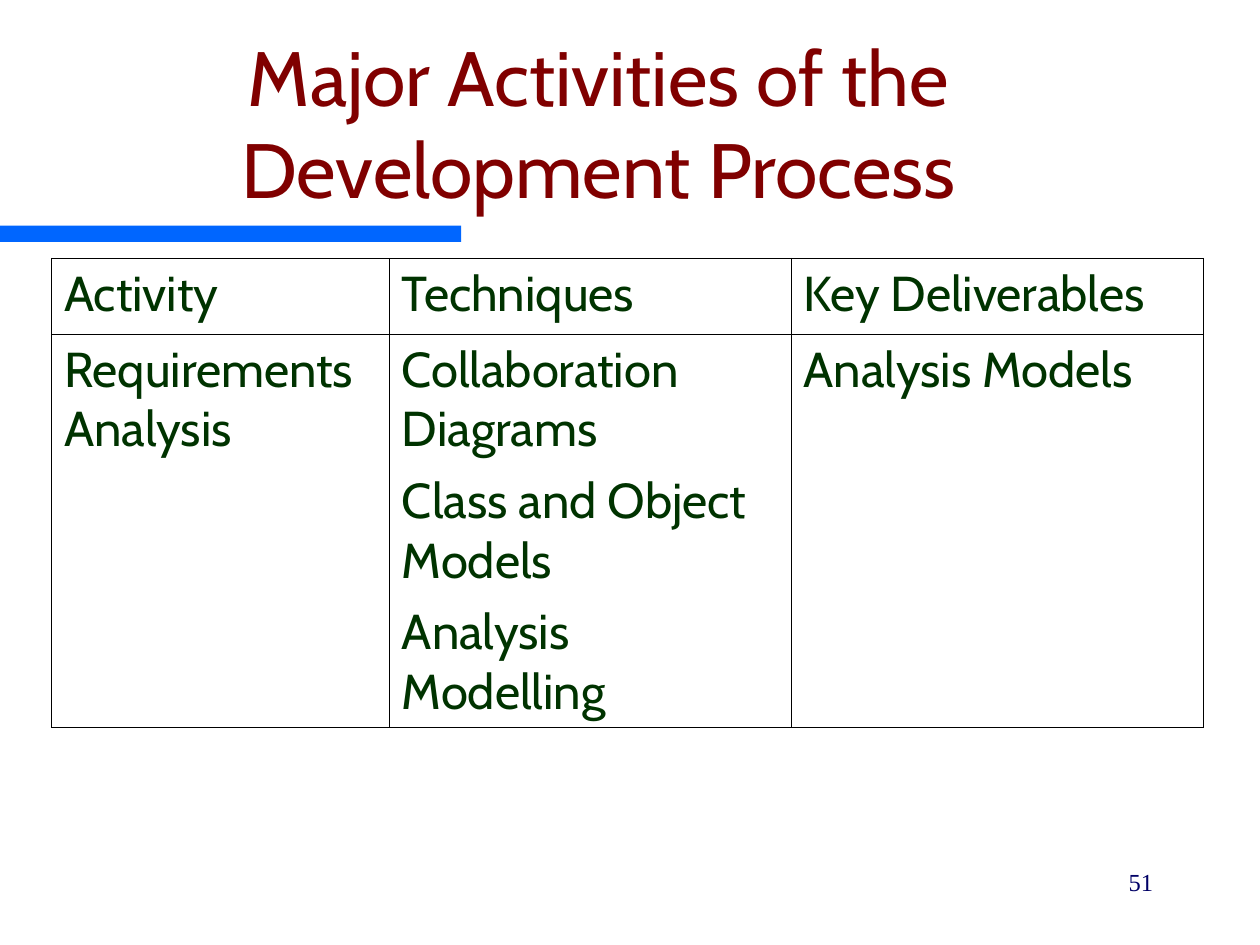
from lxml import etree
from pptx import Presentation
from pptx import util as u
from pptx.dml.color import RGBColor
from pptx.enum import shapes, text
from pptx.oxml.ns import qn

COLORS = {
    "title": "800000",
    "accent": "0066FF",
    "cell": "003300",
    "border": "000000",
    "number": "000066",
}
BODY_FONT = "Cabin"
NUMBER_FONT = "Times New Roman"
OUTER_LINE, INNER_LINE = 0.75, 0.45

COLUMN_WIDTHS = [2.68, 3.19, 3.27]
ROW_HEIGHTS = [0.6, 3.1]
ACTIVITY_ROWS = [
    ["Activity", "Techniques", "Key Deliverables"],
    [
        "Requirements Analysis",
        "Collaboration Diagrams\nClass and Object Models\nAnalysis Modelling",
        "Analysis Models",
    ],
]


def inches(box):
    return [u.Inches(value) for value in box]


def write_text(frame, content, *, size, color, font=BODY_FONT,
               align=text.PP_ALIGN.LEFT, before=0):
    """Fill a text frame, one paragraph for each line of content."""
    frame.word_wrap = True
    for index, line in enumerate(content.split("\n")):
        paragraph = frame.paragraphs[0] if index == 0 else frame.add_paragraph()
        paragraph.alignment = align
        paragraph.space_before = u.Pt(before)
        run = paragraph.add_run()
        run.text = line
        run.font.size = u.Pt(size)
        run.font.name = font
        run.font.color.rgb = RGBColor.from_string(COLORS[color])


def set_borders(cell, widths):
    """Draw the cell's edges; widths are points for left, right, top, bottom."""
    properties = cell._tc.get_or_add_tcPr()
    for index, (side, width) in enumerate(zip("LRTB", widths)):
        line = etree.Element(qn(f"a:ln{side}"), w=str(u.Pt(width)))
        fill = etree.SubElement(line, qn("a:solidFill"))
        etree.SubElement(fill, qn("a:srgbClr"), val=COLORS["border"])
        properties.insert(index, line)


def add_accent_bar(slide, box):
    bar = slide.shapes.add_shape(shapes.MSO_SHAPE.RECTANGLE, *inches(box))
    bar.shadow.inherit = False
    bar.fill.solid()
    bar.fill.fore_color.rgb = RGBColor.from_string(COLORS["accent"])
    bar.line.fill.background()


def add_title(slide, box, content):
    title = slide.shapes.title
    title.left, title.top, title.width, title.height = inches(box)
    frame = title.text_frame
    frame.auto_size = text.MSO_AUTO_SIZE.NONE
    frame.vertical_anchor = text.MSO_ANCHOR.BOTTOM
    write_text(frame, content, size=44, color="title",
               align=text.PP_ALIGN.CENTER)


def add_activity_table(slide, left, top):
    box = (left, top, sum(COLUMN_WIDTHS), sum(ROW_HEIGHTS))
    row_count, column_count = len(ROW_HEIGHTS), len(COLUMN_WIDTHS)
    table = slide.shapes.add_table(row_count, column_count, *inches(box)).table
    table.first_row = table.horz_banding = False
    for column, width in zip(table.columns, COLUMN_WIDTHS):
        column.width = u.Inches(width)
    for row, height in zip(table.rows, ROW_HEIGHTS):
        row.height = u.Inches(height)

    for r, contents in enumerate(ACTIVITY_ROWS):
        for c, content in enumerate(contents):
            cell = table.cell(r, c)
            cell.fill.background()
            write_text(cell.text_frame, content, size=28, color="cell", before=7)
            on_edge = (c == 0, c == column_count - 1, r == 0, r == row_count - 1)
            set_borders(cell, [OUTER_LINE if edge else INNER_LINE
                               for edge in on_edge])


def add_slide_number(slide, box, number):
    frame = slide.shapes.add_textbox(*inches(box)).text_frame
    write_text(frame, number, size=14, color="number", font=NUMBER_FONT,
               align=text.PP_ALIGN.RIGHT, before=8.8)


def main():
    presentation = Presentation()
    presentation.slide_width, presentation.slide_height = inches((10, 7.5))
    title_only = presentation.slide_layouts[5]
    slide = presentation.slides.add_slide(title_only)

    # Heading
    add_accent_bar(slide, (0, 1.79, 3.66, 0.13))
    add_title(slide, (0.25, 0.5, 9, 1.25),
              "Major Activities of the Development Process")
    # Content
    add_activity_table(slide, 0.41, 2.05)
    # Footer
    add_slide_number(slide, (7.17, 6.83, 2.08, 0.5), "51")

    presentation.save("out.pptx")


if __name__ == "__main__":
    main()
